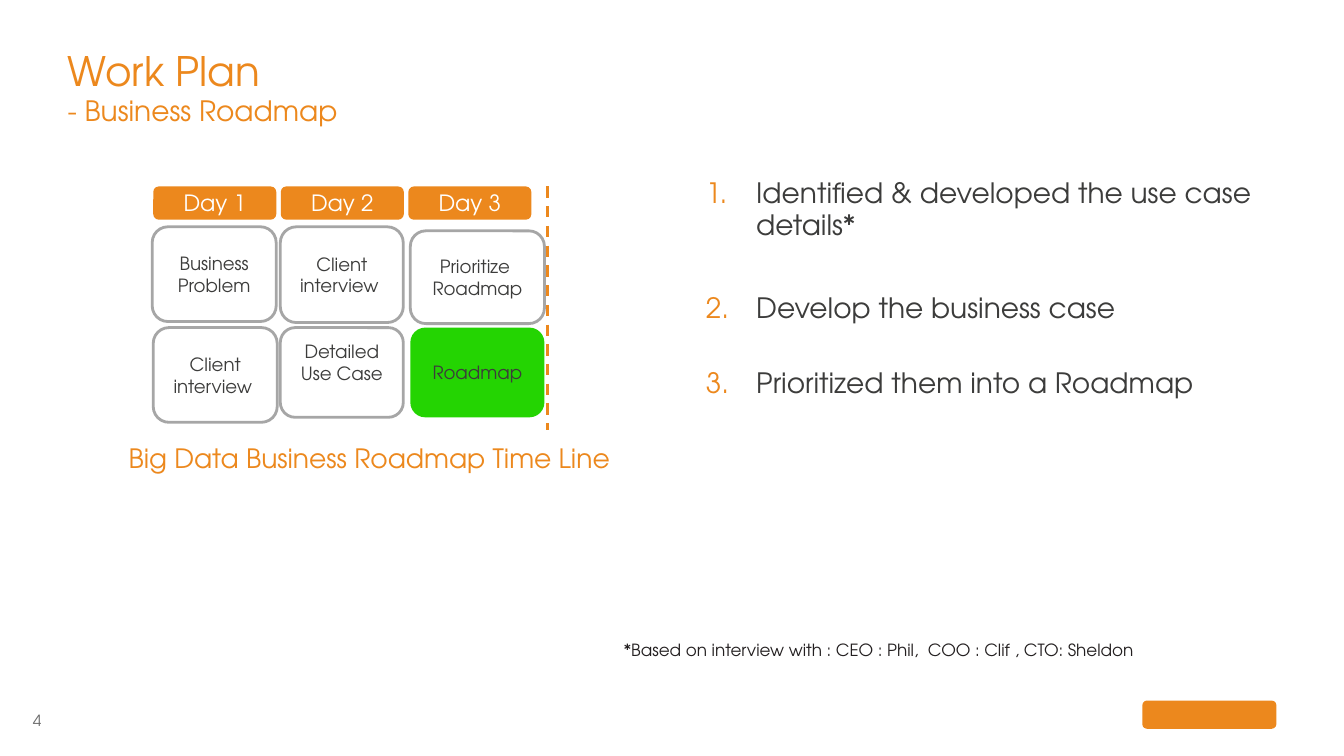
from pptx import Presentation
from pptx.dml.color import RGBColor
from pptx.enum.dml import MSO_LINE
from pptx.enum.shapes import MSO_CONNECTOR, MSO_SHAPE
from pptx.enum.text import MSO_ANCHOR, MSO_AUTO_SIZE, PP_ALIGN
from pptx.oxml.ns import qn
from pptx.util import Inches, Pt
from lxml.etree import SubElement

ORANGE = RGBColor(0xEC, 0x88, 0x1D)
GREEN = RGBColor(0x24, 0xD4, 0x02)
WHITE = RGBColor(0xFF, 0xFF, 0xFF)
BORDER = RGBColor(0xA6, 0xA6, 0xA6)
DARK = RGBColor(0x3C, 0x3C, 0x3B)
INK = RGBColor(0x23, 0x1F, 0x20)
GRAY = RGBColor(0x6C, 0x6C, 0x6C)
FONT = "TeX Gyre Adventor"

# Left, top, width, height (relative to the timeline box), lines, fill, border
STEPS = [
    (2.56, 0.44, 1.33, 0.92, ["Prioritize ", "Roadmap"], WHITE, BORDER),
    (1.27, 0.40, 1.22, 0.95, ["Client interview "], WHITE, BORDER),
    (1.27, 1.40, 1.22, 0.89, ["Detailed", "Use Case"], WHITE, BORDER),
    (2.56, 1.40, 1.33, 0.89, ["Roadmap"], GREEN, None),
    (0.00, 0.40, 1.23, 0.94, ["Business Problem"], WHITE, BORDER),
    (0.01, 1.40, 1.23, 0.94, ["Client interview "], WHITE, BORDER),
]
# Space before each goal, in points
GOALS = [
    ("Identified & developed the use case details*", 0),
    ("Develop the business case", 36),
    ("Prioritized them into a Roadmap", 31),
]


def set_font(font, size, color):
    values = {"name": FONT, "size": Pt(size), "bold": False}
    for name, value in values.items():
        setattr(font, name, value)
    font.color.rgb = color


def set_frame(frame, margins=(0, 0, 0, 0), **values):
    sides = ("margin_left", "margin_top", "margin_right", "margin_bottom")
    formats = {"word_wrap": True, "auto_size": MSO_AUTO_SIZE.NONE}
    formats.update(zip(sides, map(Inches, margins)))
    formats.update(values)
    for name, value in formats.items():
        setattr(frame, name, value)


def place(shape, left, top, width, height):
    values = {"left": left, "top": top, "width": width, "height": height}
    for name, value in values.items():
        setattr(shape, name, Inches(value))


def add_rounded(slide, box, fill, border=None):
    shape = slide.shapes.add_shape(
        MSO_SHAPE.ROUNDED_RECTANGLE, *map(Inches, box))
    shape.shadow.inherit = False
    shape.fill.solid()
    shape.fill.fore_color.rgb = fill
    if border is None:
        shape.line.fill.background()
    else:
        shape.line.color.rgb = border
        shape.line.width = Pt(2)
    return shape


def add_card(slide, box, lines, fill, border, size, color, bottom=0.07):
    shape = add_rounded(slide, box, fill, border)
    set_frame(shape.text_frame, (0.13, 0.07, 0.13, bottom),
              vertical_anchor=MSO_ANCHOR.MIDDLE)
    shape.text_frame.text = "\n".join(lines)
    for para in shape.text_frame.paragraphs:
        para.alignment = PP_ALIGN.CENTER
        set_font(para.font, size, color)


def add_label(slide, box, text, size, color, align, margins=(0, 0, 0, 0),
              line_spacing=1.0, wrap=True):
    label = slide.shapes.add_textbox(*map(Inches, box))
    set_frame(label.text_frame, margins, word_wrap=wrap)
    para = label.text_frame.paragraphs[0]
    para.text = text
    para.alignment = align
    para.line_spacing = line_spacing
    set_font(para.font, size, color)


def add_title(slide, box):
    title = slide.shapes.title
    place(title, *box)
    set_frame(title.text_frame, vertical_anchor=MSO_ANCHOR.BOTTOM)
    para = title.text_frame.paragraphs[0]
    para.alignment = PP_ALIGN.LEFT
    para.line_spacing = 0.95
    heading = para.add_run()
    heading.text = "Work Plan"
    set_font(heading.font, 29, ORANGE)
    para.add_line_break()
    subtitle = para.add_run()
    subtitle.text = "- Business Roadmap"
    set_font(subtitle.font, 20, ORANGE)


def number_paragraph(para, indent):
    """Give the paragraph an orange automatic number with a hanging indent."""
    properties = para._p.get_or_add_pPr()
    properties.set("marL", str(Inches(indent)))
    properties.set("indent", str(-Inches(indent)))
    color = SubElement(properties, qn("a:buClr"))
    SubElement(color, qn("a:srgbClr")).set("val", str(ORANGE))
    SubElement(properties, qn("a:buFont")).set("typeface", FONT)
    SubElement(properties, qn("a:buAutoNum")).set("type", "arabicPeriod")


def add_goals(slide, box):
    body = slide.placeholders[1]
    place(body, *box)
    frame = body.text_frame
    set_frame(frame, vertical_anchor=MSO_ANCHOR.TOP)
    frame.text = "\n".join(text for text, _ in GOALS)
    for para, (_, gap) in zip(frame.paragraphs, GOALS):
        number_paragraph(para, 0.5)
        para.alignment = PP_ALIGN.LEFT
        para.line_spacing = 0.95
        para.space_before = Pt(gap)
        para.space_after = Pt(0)
        set_font(para.font, 20, DARK)


def add_timeline(slide, left, top):
    for day in range(3):
        box = (left + 0.01 + 1.265 * day, top, 1.22, 0.33)
        add_card(slide, box, [f"Day {day + 1}"], ORANGE, None, 16, WHITE)

    end_x = Inches(left + 3.92)
    end_line = slide.shapes.add_connector(
        MSO_CONNECTOR.STRAIGHT, end_x, Inches(top), end_x, Inches(top + 2.42))
    end_line.line.color.rgb = ORANGE
    end_line.line.width = Pt(2)
    end_line.line.dash_style = MSO_LINE.DASH
    SubElement(end_line._element.spPr, qn("a:effectLst"))

    for x, y, width, height, lines, fill, border in STEPS:
        bottom = 0.28 if lines[0] == "Detailed" else 0.07
        add_card(slide, (left + x, top + y, width, height), lines, fill,
                 border, 13, DARK, bottom)

    add_label(slide, (left - 1.23, top + 2.53, 6.84, 0.32),
              "Big Data Business Roadmap Time Line ", 19, ORANGE,
              PP_ALIGN.CENTER)


def add_footer(slide):
    add_label(slide, (6.09, 6.31, 6.57, 0.4),
              "*Based on interview with : CEO : Phil,  COO : Clif , CTO: Sheldon",
              12, INK, PP_ALIGN.LEFT, (0.1, 0.05, 0.1, 0.05), 0.95)
    add_label(slide, (0.22, 7.05, 0.19, 0.19), "4", 11, GRAY,
              PP_ALIGN.RIGHT, wrap=False)
    add_rounded(slide, (11.33, 6.95, 1.33, 0.28), ORANGE)


def main():
    deck = Presentation()
    deck.slide_width = Inches(13.33)
    deck.slide_height = Inches(7.5)
    slide = deck.slides.add_slide(deck.slide_layouts[1])
    add_title(slide, (0.67, 0.25, 12, 1.02))
    add_goals(slide, (7, 1.77, 5.67, 4.88))
    add_timeline(slide, 1.51, 1.85)
    add_footer(slide)
    deck.save("out.pptx")


if __name__ == "__main__":
    main()
